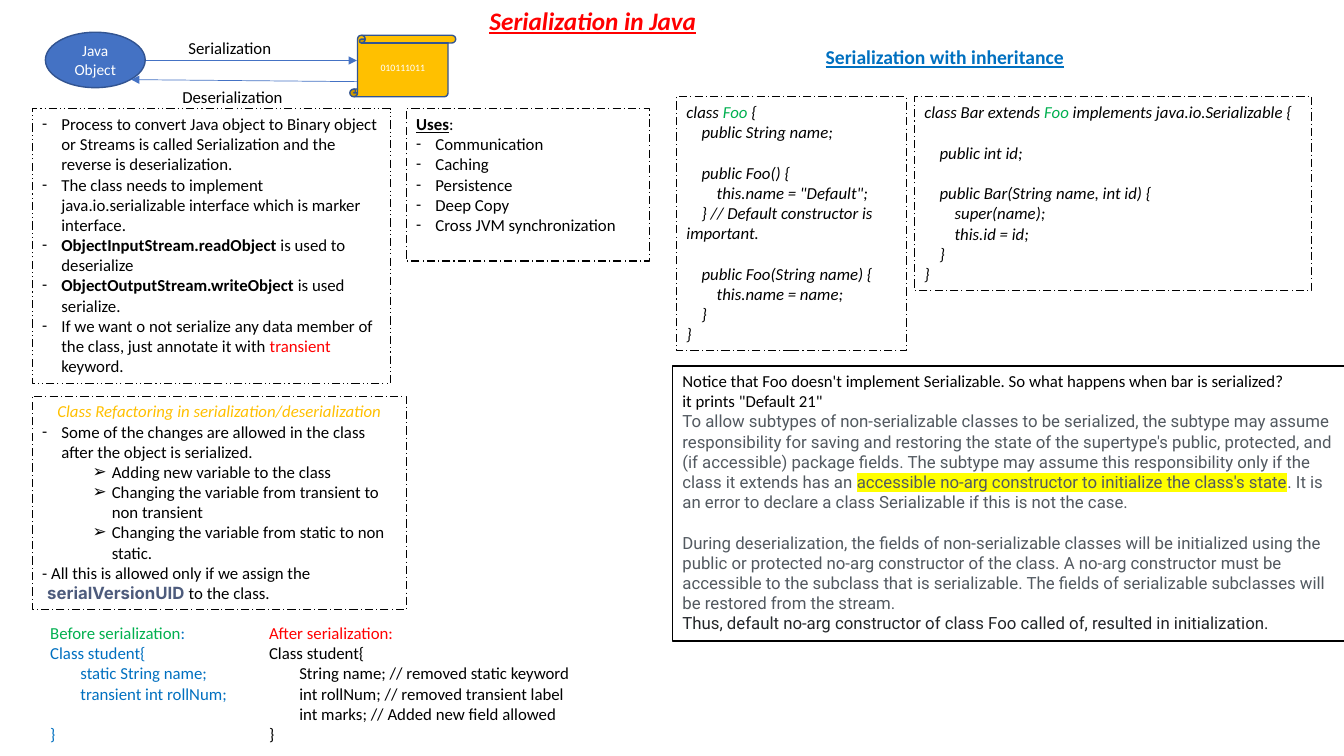
from lxml import etree
from pptx import Presentation
from pptx.dml.color import RGBColor
from pptx.enum.dml import MSO_LINE
from pptx.enum.shapes import MSO_CONNECTOR, MSO_SHAPE
from pptx.enum.text import MSO_ANCHOR, PP_ALIGN
from pptx.oxml.ns import qn
from pptx.util import Inches, Pt

RECTANGLE, OVAL, SCROLL = MSO_SHAPE.RECTANGLE, MSO_SHAPE.OVAL, MSO_SHAPE.VERTICAL_SCROLL
STRAIGHT = MSO_CONNECTOR.STRAIGHT
DASH_DOT, DASH_DOT_DOT = MSO_LINE.LONG_DASH_DOT, MSO_LINE.DASH_DOT_DOT
TOP, MIDDLE = MSO_ANCHOR.TOP, MSO_ANCHOR.MIDDLE
LEFT, CENTER = PP_ALIGN.LEFT, PP_ALIGN.CENTER

COLORS = {
    "black": "000000", "white": "FFFFFF", "red": "FF0000", "green": "00B050",
    "blue": "0070C0", "gold": "FFC000", "oval": "4472C4", "outline": "325491",
    "uid": "4D5B7C", "quote": "525960", "closing": "232629", "marker": "FFFF00",
}
CODE_INDENT = 0.15
BLANK_LINE = 14.6
HANG = 0.19


def rgb(name):
    """Return the named colour."""
    return RGBColor.from_string(COLORS[name])


def line(*spans, left=0, first=0, bullet=None, gap=0, **style):
    """Describe a paragraph made of plain strings or (text, style) pairs."""
    return {"spans": [span if isinstance(span, tuple) else (span, {}) for span in spans],
            "left": left, "first": first, "bullet": bullet, "gap": gap, "style": style}


def item(*spans, bullet="-", left=HANG):
    """Describe a bulleted paragraph."""
    return line(*spans, left=left, first=-HANG, bullet=bullet)


def code(level, *spans, gap=0, **style):
    """Describe a code line, with gap counted in blank lines above it."""
    return line(*spans, first=level * CODE_INDENT, gap=gap * BLANK_LINE, **style)


def add_span(para, text, size=12, font="Calibri", color="black", bold=False,
             italic=False, underline=False, highlight=None):
    """Add one formatted run."""
    span = para.add_run()
    span.text = text
    span.font.size = Pt(size)
    span.font.bold, span.font.italic, span.font.underline = bold, italic, underline
    span.font.color.rgb = rgb(color)
    span.font.name = font
    if highlight:
        latin = span.font._element.find(qn("a:latin"))
        mark = etree.Element(qn("a:highlight"))
        etree.SubElement(mark, qn("a:srgbClr"), val=COLORS[highlight])
        latin.addprevious(mark)


def write(shape, lines, align=LEFT, anchor=TOP, **base):
    """Fill a shape with paragraphs."""
    frame = shape.text_frame
    frame.word_wrap = True
    frame.vertical_anchor = anchor
    for index, entry in enumerate(lines):
        para = frame.add_paragraph() if index else frame.paragraphs[0]
        para.alignment = align
        para.space_before = Pt(entry["gap"])
        properties = para._p.get_or_add_pPr()
        properties.set("marL", str(Inches(entry["left"])))
        properties.set("indent", str(Inches(entry["first"])))
        if entry["bullet"]:
            etree.SubElement(properties, qn("a:buFont"), typeface="Calibri")
            etree.SubElement(properties, qn("a:buChar"), char=entry["bullet"])
        else:
            etree.SubElement(properties, qn("a:buNone"))
        for text, style in entry["spans"]:
            add_span(para, text, **{**base, **entry["style"], **style})


def add_title(page, text):
    """Place and format the slide title."""
    title = page.shapes.title
    title.left, title.top, title.width, title.height = map(Inches, (2.28, 0, 7.2, 0.4))
    write(title, [line(text)], CENTER, size=18, color="red",
          bold=True, italic=True, underline=True)


def add_text(page, at, lines, **base):
    """Add a plain text box."""
    write(page.shapes.add_textbox(*map(Inches, at)), lines, **base)


def add_box(page, at, lines, kind=RECTANGLE, fill=None, outline="black", weight=0.75,
            dash=None, **base):
    """Add an outlined shape with text."""
    box = page.shapes.add_shape(kind, *map(Inches, at))
    box.shadow.inherit = False
    if fill:
        box.fill.solid()
        box.fill.fore_color.rgb = rgb(fill)
    else:
        box.fill.background()
    box.line.color.rgb = rgb(outline)
    box.line.width = Pt(weight)
    if dash:
        box.line.dash_style = dash
    write(box, lines, **base)


def add_arrow(page, *ends):
    """Add a thin arrow between two points."""
    arrow = page.shapes.add_connector(STRAIGHT, *map(Inches, ends))
    arrow.line.color.rgb = rgb("oval")
    arrow.line.width = Pt(0.5)
    etree.SubElement(arrow.line._get_or_add_ln(), qn("a:tailEnd"), type="triangle")
    etree.SubElement(arrow._element.spPr, qn("a:effectLst"))


def add_diagram(page):
    """Draw the object and its binary form."""
    add_box(page, (0.45, 0.32, 0.99, 0.55), [line("Java Object")], OVAL, "oval", "outline", 1,
            align=CENTER, anchor=MIDDLE, size=11, color="white")
    add_box(page, (3.47, 0.35, 1.05, 0.61), [line("010111011")], SCROLL, "gold", "outline", 1,
            align=CENTER, anchor=MIDDLE, size=7, color="white")
    add_arrow(page, 1.45, 0.6, 3.54, 0.6)
    add_arrow(page, 3.54, 0.81, 1.3, 0.79)
    add_text(page, (1.71, 0.81, 1.22, 0.3), [line("Deserialization")])
    add_text(page, (1.77, 0.33, 1.22, 0.3), [line("Serialization")])


def add_basics(page):
    """Add the definition, refactoring and uses boxes."""
    strong = {"bold": True}
    add_box(page, (0.32, 1.08, 3.55, 2.73), [
        item("Process to convert Java object to Binary object or Streams is called "
             "Serialization and the reverse is deserialization."),
        item("The class needs to implement java.io.serializable interface which is "
             "marker interface."),
        item(("ObjectInputStream.readObject", strong), " is used to deserialize"),
        item(("ObjectOutputStream.writeObject", strong), " is used serialize."),
        item("If we want o not serialize any data member of the class, just annotate it with ",
             ("transient", {"color": "red"}), " keyword."),
    ], dash=DASH_DOT_DOT)
    changes = ["Adding new variable to the class",
               "Changing the variable from transient to non transient",
               "Changing the variable from static to non static."]
    add_box(page, (0.32, 3.93, 3.71, 2.12), [
        line("Class Refactoring in serialization/deserialization", first=CODE_INDENT,
             color="gold", italic=True),
        item("Some of the changes are allowed in the class after the object is serialized."),
        *[item(change, bullet="➢", left=0.69) for change in changes],
        line("- All this is allowed only if we assign the ",
             ("serialVersionUID ", {"font": "Inter", "color": "uid", "bold": True}),
             "to the class.", left=0.05, first=-0.05),
    ], dash=DASH_DOT)
    uses = ["Communication", "Caching", "Persistence", "Deep Copy", "Cross JVM synchronization"]
    add_box(page, (4.03, 1.08, 2.41, 1.51), [
        line(("Uses", {"bold": True, "underline": True}), ":"), *map(item, uses),
    ], dash=DASH_DOT)


def add_comparison(page):
    """Add the class before and after serialization."""
    add_text(page, (2.57, 6.13, 3.35, 1.31), [
        line("After serialization:", color="red"),
        code(0, "Class student{"),
        code(2, "String name; // removed static keyword"),
        code(2, "int rollNum; // removed transient label"),
        code(2, "int marks; // Added new field allowed"),
        code(0, "}"),
    ])
    add_text(page, (0.4, 6.13, 2.1, 1.31), [
        line(("Before serialization", {"color": "green"}), ":"),
        code(0, "Class student{"),
        code(2, "static String name;"),
        code(2, "transient int rollNum;"),
        code(0, "}", gap=1),
    ], color="blue")


def add_inheritance(page):
    """Add the inheritance example and its explanation."""
    foo = ("Foo", {"color": "green"})
    add_text(page, (8.09, 0.4, 4.09, 0.34), [line("Serialization with inheritance")],
             size=14, color="blue", bold=True, underline=True)
    add_box(page, (6.71, 0.96, 2.28, 2.52), [
        code(0, "class ", foo, " {"),
        code(1, "public String name;"),
        code(1, "public Foo() {", gap=1),
        code(2, 'this.name = "Default";'),
        code(1, "} // Default constructor is important."),
        code(1, "public Foo(String name) {", gap=1),
        code(2, "this.name = name;"),
        code(1, "}"),
        code(0, "}"),
    ], dash=DASH_DOT, italic=True)
    add_box(page, (9.07, 0.96, 3.94, 1.92), [
        code(0, "class Bar extends ", foo, " implements java.io.Serializable {"),
        code(1, "public int id;", gap=1),
        code(1, "public Bar(String name, int id) {", gap=1),
        code(2, "super(name);"),
        code(2, "this.id = id;"),
        code(1, "}"),
        code(0, "}"),
    ], dash=DASH_DOT, italic=True)
    quote = {"font": "Roboto", "color": "quote"}
    add_box(page, (6.67, 3.63, 6.67, 2.73), [
        line("Notice that Foo doesn't implement Serializable. So what happens when bar is "
             "serialized?"),
        line('it prints "Default 21"'),
        line("To allow subtypes of non-serializable classes to be serialized, the subtype may "
             "assume responsibility for saving and restoring the state of the supertype's "
             "public, protected, and (if accessible) package fields. The subtype may assume "
             "this responsibility only if the class it extends has an ",
             ("accessible no-arg constructor to initialize the class's state",
              {"highlight": "marker"}),
             ". It is an error to declare a class Serializable if this is not the case.",
             **quote),
        line("During deserialization, the fields of non-serializable classes will be initialized "
             "using the public or protected no-arg constructor of the class. A no-arg "
             "constructor must be accessible to the subclass that is serializable. The fields "
             "of serializable subclasses will be restored from the stream.",
             gap=BLANK_LINE, **quote),
        line("Thus, default no-arg constructor of class Foo called of, resulted in "
             "initialization.", font="Roboto", color="closing"),
    ], weight=1)


def main():
    """Build and save the deck."""
    deck = Presentation()
    deck.slide_width, deck.slide_height = Inches(13.33), Inches(7.5)
    page = deck.slides.add_slide(deck.slide_layouts[5])
    add_title(page, "Serialization in Java")
    add_diagram(page)
    add_basics(page)
    add_comparison(page)
    add_inheritance(page)
    deck.save("out.pptx")


if __name__ == "__main__":
    main()
